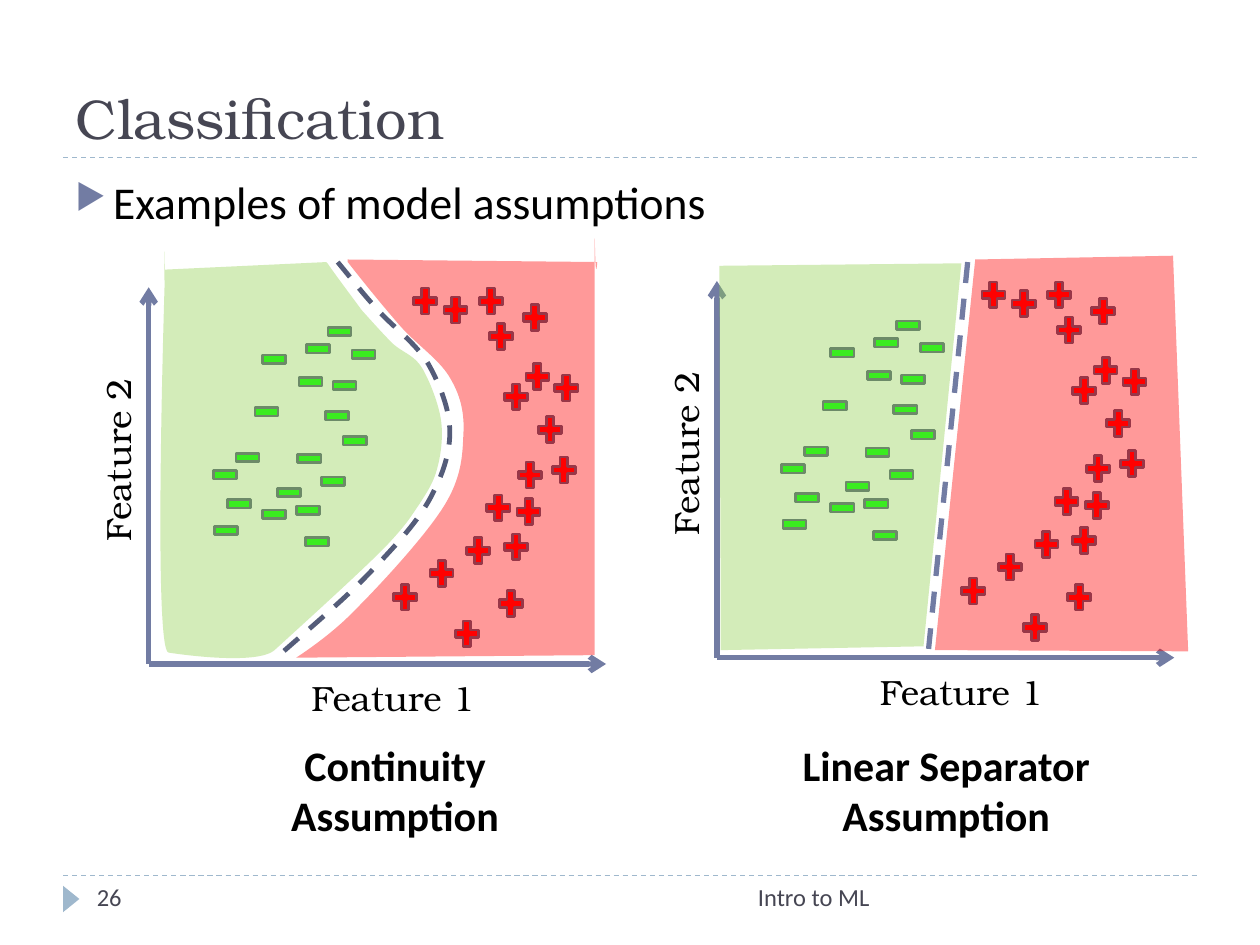
"""Build a classification slide comparing two model assumptions."""
from lxml import etree
from pptx import Presentation
from pptx.dml.color import RGBColor
from pptx.enum.dml import MSO_LINE
from pptx.enum.shapes import MSO_CONNECTOR, MSO_SHAPE
from pptx.enum.text import MSO_ANCHOR, MSO_AUTO_SIZE, PP_ALIGN
from pptx.oxml.ns import qn
from pptx.util import Cm, Pt

STRAIGHT, DASH, BOTTOM = MSO_CONNECTOR.STRAIGHT, MSO_LINE.DASH, MSO_ANCHOR.BOTTOM
PLUS, MINUS, TRIANGLE = MSO_SHAPE.MATH_PLUS, MSO_SHAPE.MATH_MINUS, MSO_SHAPE.ISOSCELES_TRIANGLE
LEFT, CENTER, RIGHT = PP_ALIGN.LEFT, PP_ALIGN.CENTER, PP_ALIGN.RIGHT
FIT, FIXED = MSO_AUTO_SIZE.SHAPE_TO_FIT_TEXT, MSO_AUTO_SIZE.NONE

COLORS = {"title": "464653", "text": "000000", "rule": "9FB8CD", "axis": "727CA3",
          "outline": "545C79", "positive": "FF0000", "negative": "00FF00", "green": "92D050"}
SERIF, SANS = "TeX Gyre Bonum", "Calibri"
FORMATS = {
    "title": ("title", {"name": SERIF, "size": Pt(32)}),
    "body": ("text", {"name": SANS, "size": Pt(26)}),
    "footer": ("title", {"name": SANS, "size": Pt(14)}),
    "caption": ("text", {"name": SANS, "size": Pt(24), "bold": True}),
    "axis": ("text", {"name": SERIF, "size": Pt(20)}),
}
TITLE = ("Classification", (0.5, 0.17, 9, 1.08))
BULLET = ("Examples of model assumptions", (0.5, 1.33, 9, 5.4))
TEXTS = [
    ("Intro to ML", (3.17, 6.95, 3.83, 0.4), "footer", RIGHT, FIXED),
    ("26", (0.67, 6.95, 2.17, 0.4), "footer", LEFT, FIXED),
    ("Continuity Assumption", (1.94, 5.82, 2.39, 0.91), "caption", CENTER, FIT),
    ("Linear Separator Assumption", (6, 5.82, 3.02, 0.91), "caption", CENTER, FIT),
]
RULES = [6.95, 1.25]
PLOT_OFFSETS = [(0, 0), (4.51, -0.05)]
AXIS_ORIGIN = (1.18, 5.27)
AXIS_ENDS = [(4.81, 5.27), (1.18, 2.28)]
AXIS_LABELS = [("Feature 1", (1.43, 5.32, 3.38, 0.37), 0),
               ("Feature 2", (-0.17, 3.43, 2.21, 0.44), 270)]
MARKER_SIZE = (0.25, 0.28)
MARKERS = [
    (PLUS, "positive", [
        (4.37, 2.94), (4.12, 2.38), (3.58, 4.89), (3.97, 4.2), (4.35, 3.59), (3.93, 4.65), (3.83, 3.89),
        (4.08, 3.63), (3.97, 3.01), (3.09, 4.6), (3.38, 4.41), (3.67, 4.23), (4.07, 3.92), (4.24, 3.27),
        (4.14, 2.85), (3.25, 2.25), (3.77, 2.25), (3.85, 2.53), (3.49, 2.32)]),
    (MINUS, "negative", [
        (2.33, 3.5), (2.55, 3.16), (2.52, 3.68), (2.69, 3.36), (2.4, 2.63), (2.39, 4.16), (1.99, 3.13),
        (1.84, 3.49), (2.34, 2.89), (2.57, 2.49), (2.05, 2.71), (2.76, 2.67), (2.61, 2.92), (2.32, 3.91),
        (1.66, 3.63), (2.05, 3.94), (2.17, 3.77), (1.67, 4.07), (1.77, 3.86)]),
]
CURVED_BOUNDARY = [
    (2.68, 2.08), (2.78, 2.2, 2.87, 2.32, 2.99, 2.45), (3.11, 2.59, 3.3, 2.72, 3.4, 2.89),
    (3.49, 3.05, 3.57, 3.25, 3.57, 3.43), (3.57, 3.62, 3.5, 3.8, 3.4, 3.98),
    (3.29, 4.17, 3.13, 4.34, 2.94, 4.54), (2.75, 4.74, 2.5, 4.95, 2.25, 5.17)]
STRAIGHT_BOUNDARY = [((7.68, 2.08), (7.37, 5.15), "axis", 3, DASH),
                     ((7.68, 2.08), (7.68, 2.08), "axis", 0.75)]
REGION_GROUPS = [
    (True, [
        ("positive", [(7.74, 2.06), (7.42, 5.16), (9.43, 5.17), (9.31, 2.03), (7.74, 2.06)]),
        ("green", [(7.63, 2.09), (5.71, 2.11), (5.71, 3.13, 5.72, 4.14, 5.72, 5.16),
                   (7.33, 5.13), (7.63, 2.09)])]),
    (False, [
        ("positive", [
            (2.76, 2.08), (2.9, 2.26, 3.04, 2.43, 3.17, 2.58), (3.3, 2.73, 3.47, 2.84, 3.56, 2.98),
            (3.64, 3.11, 3.68, 3.23, 3.68, 3.4), (3.67, 3.57, 3.68, 3.75, 3.54, 3.99),
            (3.4, 4.23, 3.02, 4.64, 2.82, 4.84), (2.62, 5.05, 2.35, 5.22, 2.35, 5.22), (2.35, 5.22),
            (4.72, 5.2), (4.72, 5.2), (4.72, 4.68, 4.72, 3.38, 4.72, 2.07),
            (4.72, 1.55, 4.72, 2.35, 4.74, 2.08), (2.76, 2.06)]),
        ("green", [
            (2.6, 2.09), (2.69, 2.22, 2.79, 2.35, 2.87, 2.46), (2.96, 2.56, 3.04, 2.65, 3.12, 2.73),
            (3.2, 2.8, 3.29, 2.82, 3.35, 2.92), (3.41, 3.02, 3.48, 3.2, 3.5, 3.33),
            (3.52, 3.46, 3.5, 3.61, 3.47, 3.72), (3.44, 3.83, 3.4, 3.89, 3.33, 4),
            (3.26, 4.1, 3.24, 4.15, 3.05, 4.35), (2.86, 4.54, 2.52, 4.85, 2.18, 5.16),
            (2.03, 5.29, 1.34, 5.18, 1.34, 5.18), (1.21, 5.19, 1.31, 2.16, 1.31, 2.16),
            (1.31, 1.66, 1.3, 2.48, 1.31, 2.14), (1.52, 2.13, 2.38, 2.09, 2.59, 2.08)])]),
]


def lengths(inches):
    return [Cm(value * 2.54) for value in inches]


def color(name):
    return RGBColor.from_string(COLORS[name])


def write(shape, text, style, alignment=LEFT):
    shape.text_frame.word_wrap = True
    paragraph = shape.text_frame.paragraphs[0]
    paragraph.alignment = alignment
    run = paragraph.add_run()
    run.text = text
    color_name, values = FORMATS[style]
    run.font.color.rgb = color(color_name)
    for key, value in values.items():
        setattr(run.font, key, value)
    return paragraph


def add_text(shapes, text, box, style, alignment=LEFT, auto_size=FIXED):
    shape = shapes.add_textbox(*lengths(box))
    paragraph = write(shape, text, style, alignment)
    shape.text_frame.auto_size = auto_size
    return shape, paragraph


def paint(shape, fill=None, line=None, width=0, dash=None):
    shape.shadow.inherit = False
    for target, name in ((shape.fill, fill), (shape.line.fill, line)):
        if name:
            target.solid()
            target.fore_color.rgb = color(name)
        else:
            target.background()
    shape.line.width = Pt(width)
    shape.line.dash_style = dash


def add_line(shapes, start, end, name, width, dash=None, arrow=False):
    connector = shapes.add_connector(STRAIGHT, *lengths(start + end))
    connector.line.color.rgb = color(name)
    connector.line.width = Pt(width)
    connector.line.dash_style = dash
    if arrow:
        etree.SubElement(connector._element.spPr.find(qn("a:ln")), qn("a:tailEnd"), type="arrow")
    etree.SubElement(connector._element.spPr, qn("a:effectLst"))


def curve_samples(outline, axis, steps=40):
    samples, last = [outline[0][axis]], outline[0][axis]
    for segment in outline[1:]:
        a, b, c, d = [last, *segment[axis::2]] if len(segment) == 6 else [last, last, segment[axis], segment[axis]]
        for t in (step / steps for step in range(1, steps + 1)):
            samples.append(a * (1 - t) ** 3 + 3 * b * t * (1 - t) ** 2 + 3 * c * t * t * (1 - t) + d * t ** 3)
        last = d
    return samples


def add_outline(shapes, outline, close=False):
    extents = [curve_samples(outline, axis) for axis in (0, 1)]
    start, end = lengths(map(min, extents)), lengths(map(max, extents))
    builder = shapes.build_freeform(*start)
    builder.add_line_segments([end], close=False)
    shape = builder.convert_to_shape()
    path = next(shape._element.iter(qn("a:path")))
    for child in list(path):
        path.remove(child)
    for index, segment in enumerate(outline):
        kind = "a:cubicBezTo" if len(segment) == 6 else "a:lnTo" if index else "a:moveTo"
        command = etree.SubElement(path, qn(kind))
        values = lengths(segment)
        for x, y in zip(values[::2], values[1::2]):
            etree.SubElement(command, qn("a:pt"), x=str(x - start[0]), y=str(y - start[1]))
    if close:
        etree.SubElement(path, qn("a:close"))
    return shape


def add_plot(shapes, offset):
    def move(point):
        return (point[0] + offset[0], point[1] + offset[1])

    for end in AXIS_ENDS:
        add_line(shapes, move(AXIS_ORIGIN), move(end), "axis", 3, arrow=True)
    for text, box, rotation in AXIS_LABELS:
        add_text(shapes, text, move(box) + box[2:], "axis", CENTER, FIT)[0].rotation = rotation
    for kind, fill, positions in MARKERS:
        for position in positions:
            paint(shapes.add_shape(kind, *lengths(move(position) + MARKER_SIZE)), fill, "outline", 1.5)


def add_bullet(shapes):
    paragraph = add_text(shapes, *BULLET, "body")[1]
    paragraph.space_before = Pt(6)
    properties = paragraph._p.get_or_add_pPr()
    properties.set("marL", str(Cm(0.76)))
    properties.set("indent", str(-Cm(0.76)))
    etree.SubElement(etree.SubElement(properties, qn("a:buClr")), qn("a:srgbClr"), val=COLORS["axis"])
    for tag, key, value in (("a:buSzPct", "val", "76000"), ("a:buFont", "typeface", "OpenSymbol"),
                            ("a:buChar", "char", "▶")):
        etree.SubElement(properties, qn(tag)).set(key, value)


def main():
    presentation = Presentation()
    presentation.slide_width, presentation.slide_height = lengths((10, 7.5))
    shapes = presentation.slides.add_slide(presentation.slide_layouts[5]).shapes
    title = shapes.title
    title.left, title.top, title.width, title.height = lengths(TITLE[1])
    write(title, TITLE[0], "title")
    title.text_frame.vertical_anchor = BOTTOM
    for top in RULES:
        add_line(shapes, (0.5, top), (9.5, top), "rule", 0.75, DASH)
    pointer = shapes.add_shape(TRIANGLE, *lengths((0.46, 7.07, 0.21, 0.13)))
    pointer.rotation = 90
    paint(pointer, "rule")
    add_bullet(shapes)
    for item in TEXTS:
        add_text(shapes, *item)
    for offset in PLOT_OFFSETS:
        add_plot(shapes.add_group_shape().shapes, offset)
    paint(add_outline(shapes, CURVED_BOUNDARY), None, "outline", 2.75, DASH)
    for line in STRAIGHT_BOUNDARY:
        add_line(shapes, *line)
    for close, regions in REGION_GROUPS:
        group = shapes.add_group_shape()
        for name, outline in regions:
            region = add_outline(group.shapes, outline, close)
            paint(region, name)
            fill = region._element.spPr.find(qn("a:solidFill"))
            etree.SubElement(fill[0], qn("a:alpha"), val="40000")
    presentation.save("out.pptx")


if __name__ == "__main__":
    main()
